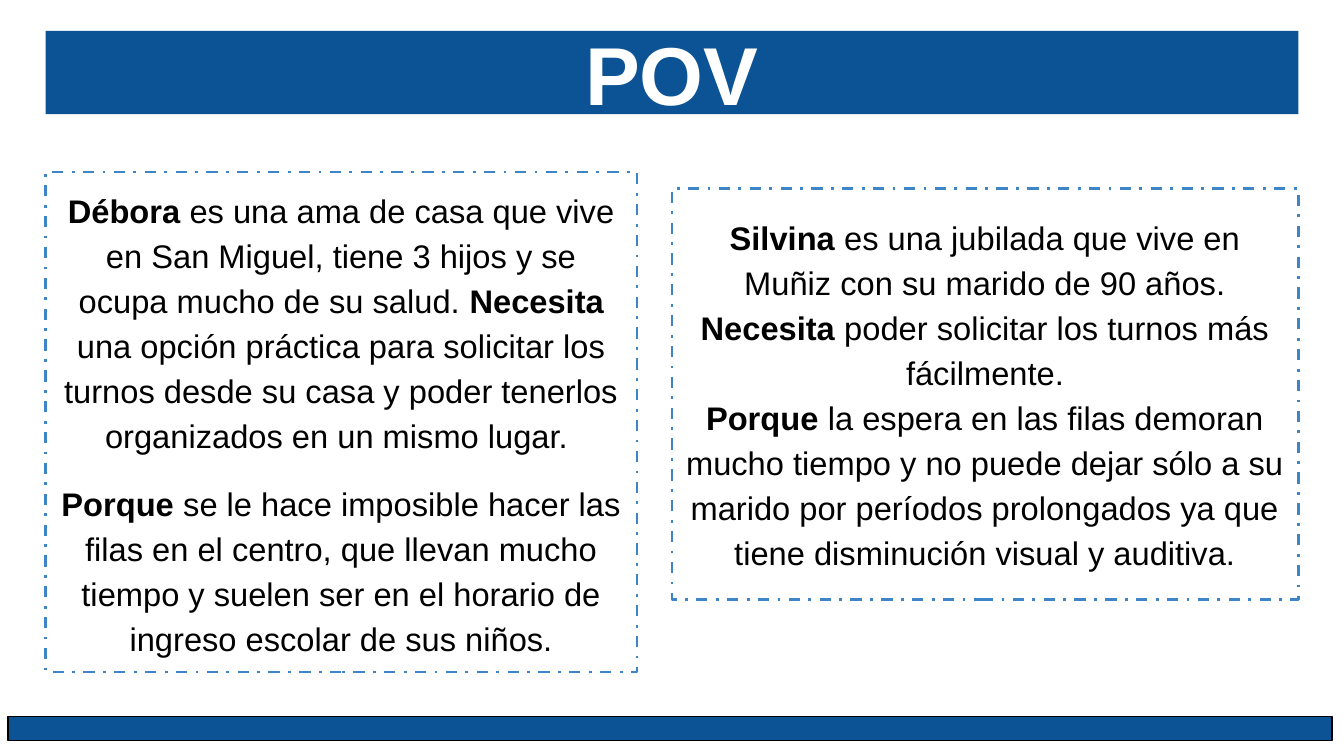
"""Build the POV slide with two user statements."""
from pptx import Presentation
from pptx.dml.color import RGBColor
from pptx.enum.dml import MSO_LINE
from pptx.enum.shapes import MSO_SHAPE
from pptx.enum.text import MSO_ANCHOR as Anchor, MSO_AUTO_SIZE as AutoSize, PP_ALIGN as Align
from pptx.oxml.ns import qn
from pptx.util import Inches, Pt
from lxml.etree import SubElement

COLORS = {"band": "0B5394", "border": "3D85C6", "text": "000000", "title": "FFFFFF"}

DEBORA = [
    [("Débora", True),
     (" es una ama de casa que vive en San Miguel, tiene 3 hijos y se ocupa mucho de su salud. ", False),
     ("Necesita", True),
     (" una opción práctica para solicitar los turnos desde su casa y poder tenerlos "
      "organizados en un mismo lugar. ", False)],
    [("Porque", True),
     (" se le hace imposible hacer las filas en el centro, que llevan mucho tiempo y suelen "
      "ser en el horario de ingreso escolar de sus niños.", False)],
]
SILVINA = [
    [("Silvina", True), (" es una jubilada que vive en Muñiz con su marido de 90 años.", False)],
    [("Necesita", True), (" poder solicitar los turnos más fácilmente.", False)],
    [("Porque", True),
     (" la espera en las filas demoran mucho tiempo y no puede dejar sólo a su marido por "
      "períodos prolongados ya que tiene disminución visual y auditiva.", False)],
]


class SlideBuilder:
    font = "Arial"
    title_size = 44
    body_size = 17.5

    def __init__(self, deck):
        self.slide = deck.slides.add_slide(deck.slide_layouts[1])

    def color(self, name):
        return RGBColor.from_string(COLORS[name])

    def fill(self, shape, name):
        shape.fill.solid()
        shape.fill.fore_color.rgb = self.color(name)

    def place(self, shape, left, top, width, height):
        shape.left, shape.top = Inches(left), Inches(top)
        shape.width, shape.height = Inches(width), Inches(height)

    def frame(self, shape, anchor, top=0.1, bottom=0.1, auto_size=AutoSize.NONE):
        frame = shape.text_frame
        frame.word_wrap = True
        frame.auto_size = auto_size
        frame.vertical_anchor = anchor
        frame.margin_left = frame.margin_right = Inches(0.1)
        frame.margin_top, frame.margin_bottom = Inches(top), Inches(bottom)
        return frame

    def span(self, para, text, size, color, bold):
        span = para.add_run()
        span.text = text
        span.font.name = self.font
        span.font.size = Pt(size)
        span.font.bold = bold
        span.font.color.rgb = self.color(color)

    def title(self, text, *area):
        box = self.slide.shapes.title
        self.place(box, *area)
        self.fill(box, "band")
        para = self.frame(box, Anchor.MIDDLE).paragraphs[0]
        para.alignment = Align.CENTER
        self.span(para, text, self.title_size, "title", True)

    def statement(self, box, frame, paragraphs, gap=0):
        box.line.color.rgb = self.color("border")
        box.line.width = Pt(1.5)
        box.line.dash_style = MSO_LINE.DASH_DOT
        for index, spans in enumerate(paragraphs):
            para = frame.add_paragraph() if index else frame.paragraphs[0]
            properties = para._p.get_or_add_pPr()
            properties.set("marL", "0")
            properties.set("indent", "0")
            SubElement(properties, qn("a:buNone"))
            para.alignment = Align.CENTER
            para.line_spacing = 1.15
            para.space_before = Pt(gap if index else 0)
            para.space_after = Pt(gap if index else 0)
            for text, bold in spans:
                self.span(para, text, self.body_size, "text", bold)

    def body(self, paragraphs, *area):
        box = self.slide.placeholders[1]
        self.place(box, *area)
        self.statement(box, self.frame(box, Anchor.TOP), paragraphs, gap=12)

    def text_box(self, paragraphs, *area):
        box = self.slide.shapes.add_textbox(*map(Inches, area))
        frame = self.frame(box, Anchor.TOP, 0.18, 0.22, AutoSize.SHAPE_TO_FIT_TEXT)
        self.statement(box, frame, paragraphs)

    def bar(self, *area):
        bar = self.slide.shapes.add_shape(MSO_SHAPE.RECTANGLE, *map(Inches, area))
        bar.shadow.inherit = False
        self.fill(bar, "band")
        bar.line.color.rgb = self.color("text")
        bar.line.width = Pt(0.75)


def main():
    deck = Presentation()
    deck.slide_width, deck.slide_height = Inches(10), Inches(10 * 9 / 16)
    page = SlideBuilder(deck)
    page.title("POV", 0.34, 0.23, 9.32, 0.62)
    page.body(DEBORA, 0.34, 1.28, 4.4, 3.72)
    page.text_box(SILVINA, 5, 1.4, 4.66, 3.06)
    page.bar(0.06, 5.33, 9.85, 0.18)
    deck.save("out.pptx")


if __name__ == "__main__":
    main()
